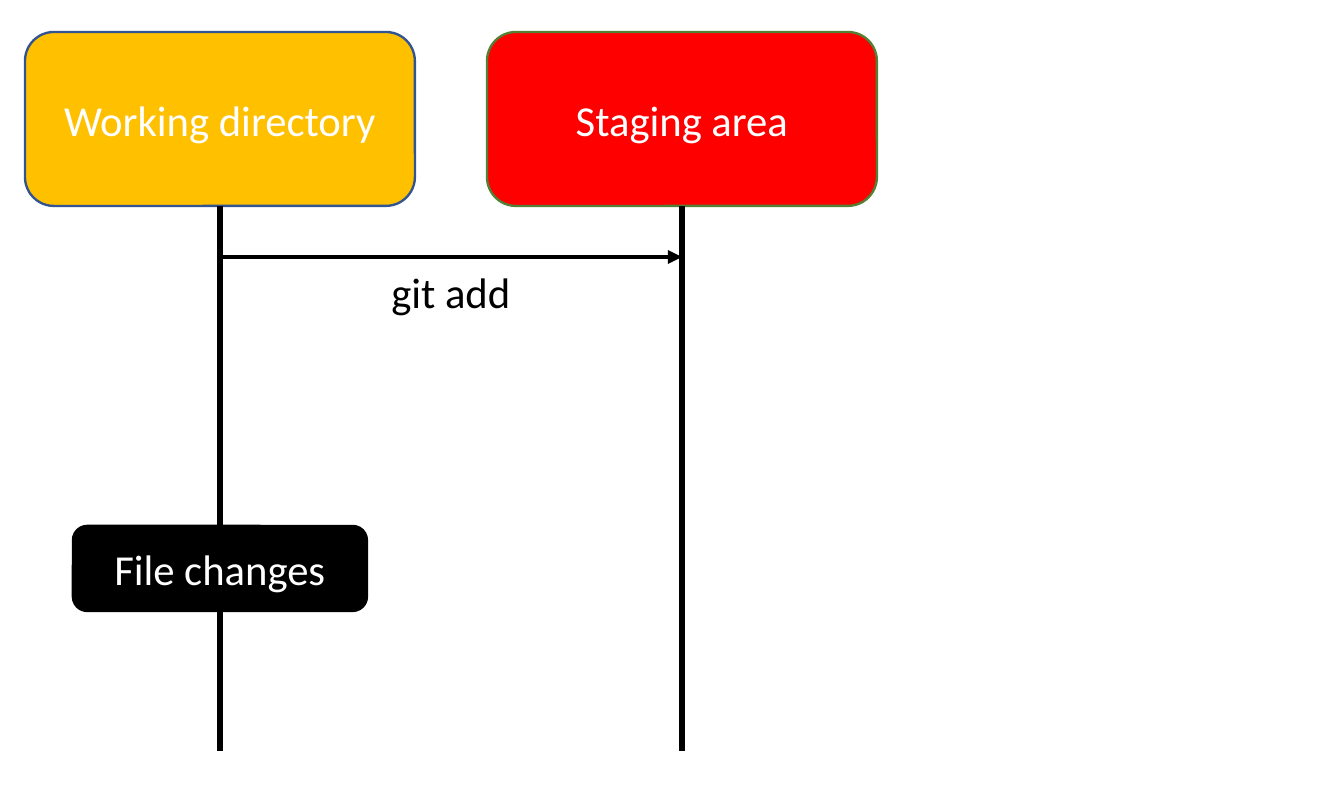
from lxml import etree
from pptx import Presentation
from pptx.dml.color import RGBColor
from pptx.enum.shapes import MSO_CONNECTOR, MSO_SHAPE
from pptx.enum.text import MSO_ANCHOR, PP_ALIGN
from pptx.oxml.ns import qn
from pptx.util import Pt

STRAIGHT = MSO_CONNECTOR.STRAIGHT
ROUNDED = MSO_SHAPE.ROUNDED_RECTANGLE
MIDDLE = MSO_ANCHOR.MIDDLE
CENTER = PP_ALIGN.CENTER

WHITE = RGBColor(0xFF, 0xFF, 0xFF)
BLACK = RGBColor(0x00, 0x00, 0x00)
AMBER = RGBColor(0xFF, 0xC0, 0x00)
RED = RGBColor(0xFF, 0x00, 0x00)
BLUE = RGBColor(0x32, 0x54, 0x91)
GREEN = RGBColor(0x53, 0x80, 0x35)

EMU_PER_PX = 5354
FONT = {"name": "Calibri", "size": Pt(18)}

BOX_LEFT, BOX_TOP, BOX_W, BOX_H = 25, 32, 390, 174
BOX_PITCH = 462
LIFELINE_END = 751
MESSAGE_Y = 257
LABEL_W, LABEL_H = 234, 68
NOTE_TOP, NOTE_W, NOTE_H = 526, 294, 85

PARTICIPANTS = [
    ("Working directory", AMBER, BLUE),
    ("Staging area", RED, GREEN),
]


def px(n):
    """Convert whole pixels to EMU."""
    return n * EMU_PER_PX


def write(sp, text, color):
    """Put one centred line of text in a shape."""
    tf = sp.text_frame
    tf.word_wrap = True
    tf.vertical_anchor = MIDDLE
    p = tf.paragraphs[0]
    p.alignment = CENTER
    r = p.add_run()
    r.text = text
    for key, value in FONT.items():
        setattr(r.font, key, value)
    r.font.color.rgb = color


def add_box(s, text, center, top, w, h, fill, line):
    """Add a rounded box centred on a lifeline."""
    sp = s.shapes.add_shape(ROUNDED, px(center - w // 2), px(top), px(w), px(h))
    sp.shadow.inherit = False
    sp.fill.solid()
    sp.fill.fore_color.rgb = fill
    sp.line.color.rgb = line
    sp.line.width = Pt(1)
    write(sp, text, WHITE)


def add_label(s, text, center, top):
    """Add the caption of a message."""
    sp = s.shapes.add_textbox(
        px(center - LABEL_W // 2), px(top), px(LABEL_W), px(LABEL_H))
    write(sp, text, BLACK)


def add_line(s, x1, y1, x2, y2, width, arrow=False):
    """Add a black line, with an arrowhead at its end if asked."""
    sp = s.shapes.add_connector(STRAIGHT, px(x1), px(y1), px(x2), px(y2))
    sp.line.color.rgb = BLACK
    sp.line.width = Pt(width)
    if arrow:
        etree.SubElement(sp.line._get_or_add_ln(), qn("a:tailEnd"), type="triangle")
    etree.SubElement(sp._element.spPr, qn("a:effectLst"))


def main():
    """Build the sequence diagram slide."""
    prs = Presentation()
    prs.slide_width, prs.slide_height = px(1344), px(806)
    s = prs.slides.add_slide(prs.slide_layouts[6])

    centers = [BOX_LEFT + BOX_W // 2 + i * BOX_PITCH
               for i in range(len(PARTICIPANTS))]
    for center, (name, fill, line) in zip(centers, PARTICIPANTS):
        add_box(s, name, center, BOX_TOP, BOX_W, BOX_H, fill, line)
        add_line(s, center, BOX_TOP + BOX_H, center, LIFELINE_END, 2.25)

    working, staging = centers
    add_label(s, "git add", (working + staging) // 2, MESSAGE_Y)
    add_line(s, working, MESSAGE_Y, staging, MESSAGE_Y, 1.5, arrow=True)
    add_box(s, "File changes", working, NOTE_TOP, NOTE_W, NOTE_H, BLACK, BLACK)

    prs.save("out.pptx")


if __name__ == "__main__":
    main()
